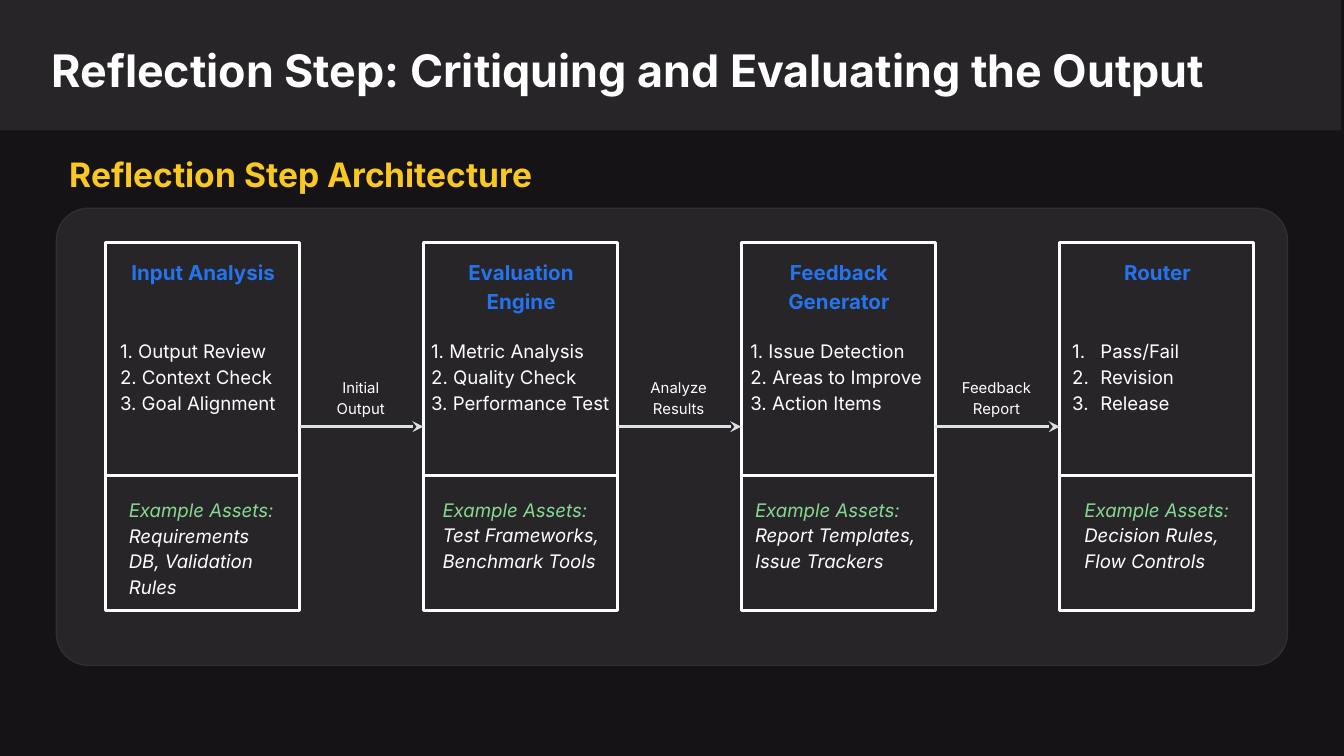
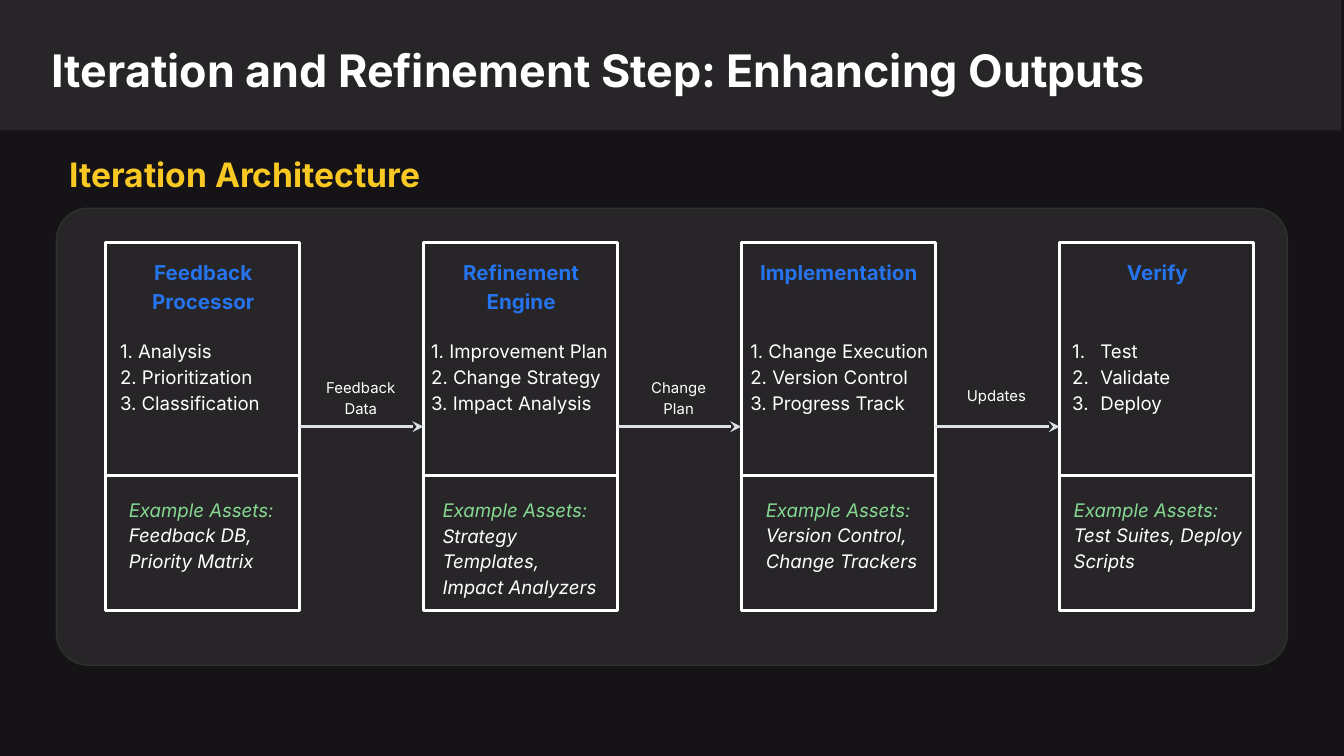
"""Build two dark slides, each showing a four-stage process."""
import pptx
import pptx.dml.color
import pptx.enum.shapes
import pptx.enum.text
import pptx.oxml
import pptx.oxml.ns
import pptx.util

PX = 4572
FONT = "Inter"
COLORS = {
    "back": "151316", "panel": "272528", "edge": "303030", "white": "FFFFFF",
    "gold": "F9C823", "blue": "2674ED", "green": "85D992", "arrow": "DAE0E6",
}
SHAPE = pptx.enum.shapes.MSO_SHAPE
ALIGN = pptx.enum.text.PP_ALIGN
FIT = pptx.enum.text.MSO_AUTO_SIZE
BOX_W, BOX_H, BOX_TOP, RULE_Y = 289, 548, 361, 708
LEFTS = [157 + 1420 * spot // 3 for spot in range(4)]
STEP_DX, STEP_W = (2, -8, -6, -1), (288, 324, 306, 288)
ASSET_W = (258, 272, 306, 306)
HANG = 42

SLIDES = [
    {
        "title": "Reflection Step: Critiquing and Evaluating the Output",
        "head": "Reflection Step Architecture",
        "labels": ["Initial Output", "Analyze Results", "Feedback Report"],
        "shifts": (15, 9, 1, 17),
        "stages": [
            ("Input Analysis",
             ["1. Output Review", "2. Context Check", "3. Goal Alignment"],
             "Requirements DB, Validation Rules"),
            ("Evaluation Engine",
             ["1. Metric Analysis", "2. Quality Check", "3. Performance Test"],
             "Test Frameworks, Benchmark Tools"),
            ("Feedback Generator",
             ["1. Issue Detection", "2. Areas to Improve", "3. Action Items"],
             "Report Templates, Issue Trackers"),
            ("Router",
             ["1.\tPass/Fail", "2.\tRevision", "3.\tRelease"],
             "Decision Rules, Flow Controls"),
        ],
    },
    {
        "title": "Iteration and Refinement Step: Enhancing Outputs",
        "head": "Iteration Architecture",
        "labels": ["Feedback Data", "Change Plan", "Updates"],
        "shifts": (15, 9, 17, 1),
        "stages": [
            ("Feedback Processor",
             ["1. Analysis", "2. Prioritization", "3. Classification"],
             "Feedback DB, Priority Matrix"),
            ("Refinement Engine",
             ["1. Improvement Plan", "2. Change Strategy", "3. Impact Analysis"],
             "Strategy Templates, Impact Analyzers"),
            ("Implementation",
             ["1. Change Execution", "2. Version Control", "3. Progress Track"],
             "Version Control, Change Trackers"),
            ("Verify",
             ["1.\tTest", "2.\tValidate", "3.\tDeploy"],
             "Test Suites, Deploy Scripts"),
        ],
    },
]


def rgb(name):
    """Return the named colour."""
    return pptx.dml.color.RGBColor.from_string(COLORS[name])


def scale(*sizes):
    """Turn px into EMU."""
    return [pptx.util.Emu(size * PX) for size in sizes]


def style(frame, size, color, bold=False, italic=False, align=ALIGN.LEFT):
    """Format all text in a frame."""
    frame.word_wrap = True
    frame.margin_left = frame.margin_right = pptx.util.Emu(20 * PX)
    frame.margin_top = frame.margin_bottom = pptx.util.Emu(20 * PX)
    for para in frame.paragraphs:
        para.alignment = align
        for run in para.runs:
            font = run.font
            font.name, font.size = FONT, pptx.util.Pt(size)
            font.bold, font.italic = bold, italic
            font.color.rgb = rgb(color)


def add_text(slide, box, text, size, color, **looks):
    """Add a wrapped text box that fits its text."""
    frame = slide.shapes.add_textbox(*scale(*box)).text_frame
    frame.text = text
    style(frame, size, color, **looks)
    frame.auto_size = FIT.SHAPE_TO_FIT_TEXT
    for para in frame.paragraphs:
        para.line_spacing = 1.15
    return frame


def add_box(slide, kind, box, fill=None, edge=None, width=1.5):
    """Add a preset shape with optional fill and outline."""
    shape = slide.shapes.add_shape(kind, *scale(*box))
    shape.shadow.inherit = False
    if fill:
        shape.fill.solid()
        shape.fill.fore_color.rgb = rgb(fill)
    else:
        shape.fill.background()
    if edge:
        shape.line.color.rgb = rgb(edge)
        shape.line.width = pptx.util.Pt(width)
    else:
        shape.line.fill.background()
    return shape


def add_line(slide, ends, color):
    """Add a straight line without a shadow."""
    kind = pptx.enum.shapes.MSO_CONNECTOR.STRAIGHT
    line = slide.shapes.add_connector(kind, *scale(*ends))
    line.line.color.rgb = rgb(color)
    line.line.width = pptx.util.Pt(1.5)
    props = line.element.spPr
    props.append(pptx.oxml.parse_xml(
        f"<a:effectLst {pptx.oxml.ns.nsdecls('a')}/>"))
    return line


def add_arrow(slide, start, end, label):
    """Join two boxes with a labelled arrow."""
    line = add_line(slide, (0, 0, 0, 0), "arrow")
    line.begin_connect(start, 3)
    line.end_connect(end, 1)
    stroke = line.element.spPr.find(pptx.oxml.ns.qn("a:ln"))
    stroke.append(pptx.oxml.parse_xml(
        f'<a:tailEnd {pptx.oxml.ns.nsdecls("a")} type="stealth"/>'))
    high = 98 if " " in label else 67
    left = (start.left + start.width) // PX + 8
    add_text(slide, (left, (1179 - high) // 2, 166, high), label, 8, "white",
             align=ALIGN.CENTER)


def add_steps(slide, box, steps):
    """Add the numbered steps of a stage."""
    frame = add_text(slide, box, "\n".join(steps), 10, "white")
    for para in frame.paragraphs:
        if "\t" in para.text:
            props = para._p.get_or_add_pPr()
            props.set("marL", str(HANG * PX))
            props.set("indent", str(-HANG * PX))


def add_stage(slide, spot, stage, shift):
    """Add one stage: box, heading, steps, rule and assets."""
    name, steps, assets = stage
    left = LEFTS[spot]
    box = add_box(slide, SHAPE.RECTANGLE, (left, BOX_TOP, BOX_W, BOX_H),
                  edge="white")
    add_line(slide, (left, RULE_Y, left + BOX_W, RULE_Y), "white")
    high = 120 if len(name) > 14 else 78
    add_text(slide, (left + 1, BOX_TOP + 1, BOX_W, high), name, 11, "blue",
             bold=True, align=ALIGN.CENTER)
    add_steps(slide, (left + STEP_DX[spot], 481, STEP_W[spot], 152), steps)
    high = 190 if len(assets) > 32 else 152
    frame = add_text(slide, (left + shift, 717, ASSET_W[spot], high),
                     "Example Assets:\n" + assets, 10, "white", italic=True)
    frame.paragraphs[0].runs[0].font.color.rgb = rgb("green")
    return box


def add_frame(slide, title, head):
    """Add the title band, title, subheading and panel."""
    band = add_box(slide, SHAPE.RECTANGLE, (0, -2, 1996, 196), "panel")
    holder = slide.shapes.title
    holder.element.addprevious(band.element)
    holder.left, holder.top, holder.width, holder.height = scale(57, 44, 1864, 126)
    frame = holder.text_frame
    frame.text = title
    frame.auto_size = FIT.NONE
    frame.vertical_anchor = pptx.enum.text.MSO_ANCHOR.TOP
    style(frame, 24, "white", bold=True)
    panel = add_box(slide, SHAPE.ROUNDED_RECTANGLE, (84, 310, 1832, 680),
                    "panel", "edge", 0.75)
    panel.adjustments[0] = 0.07
    add_text(slide, (84, 200, 966, 100), head, 18, "gold", bold=True)


def add_slide(deck, data):
    """Add one process slide."""
    slide = deck.slides.add_slide(deck.slide_layouts[5])
    slide.background.fill.solid()
    slide.background.fill.fore_color.rgb = rgb("back")
    add_frame(slide, data["title"], data["head"])
    boxes = [add_stage(slide, spot, stage, shift) for spot, (stage, shift)
             in enumerate(zip(data["stages"], data["shifts"]))]
    for start, end, label in zip(boxes, boxes[1:], data["labels"]):
        add_arrow(slide, start, end, label)


def main():
    """Build and save the deck."""
    deck = pptx.Presentation()
    deck.slide_width, deck.slide_height = scale(2000, 1125)
    for data in SLIDES:
        add_slide(deck, data)
    deck.save("out.pptx")


if __name__ == "__main__":
    main()
